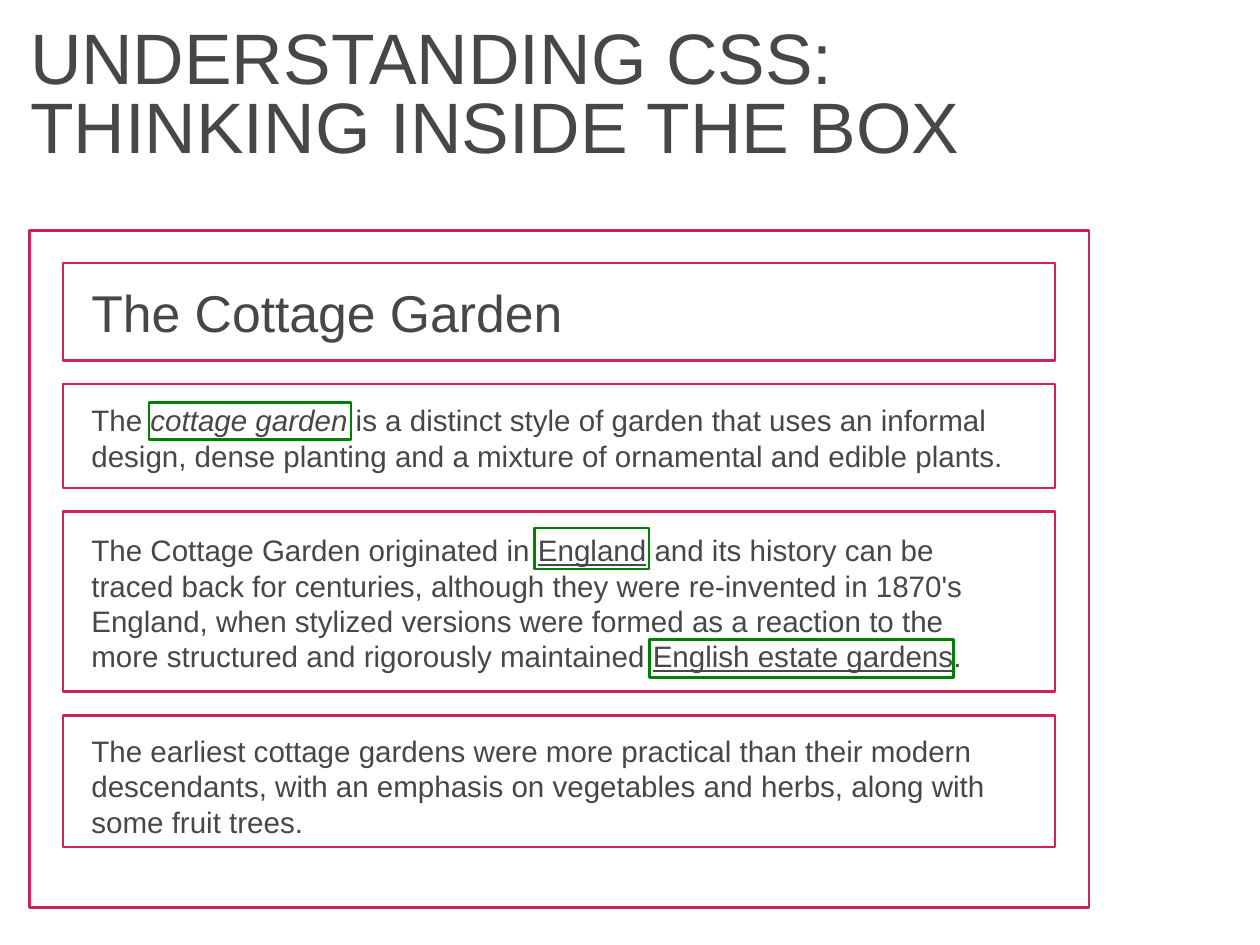
import pptx
import pptx.util
import pptx.dml.color
import pptx.enum.shapes
import pptx.enum.text

Cm = pptx.util.Cm
Pt = pptx.util.Pt
GRAY = pptx.dml.color.RGBColor(0x46, 0x47, 0x49)
PINK = pptx.dml.color.RGBColor(0xD1, 0x20, 0x60)
GREEN = pptx.dml.color.RGBColor(0x00, 0x80, 0x00)

TITLE = "UNDERSTANDING CSS:\vTHINKING INSIDE THE BOX"
TEXT = [
    [("The Cottage Garden", "")],
    [
        ("The ", ""),
        ("cottage garden", "em"),
        (" is a distinct style of garden that uses an informal design, dense "
         "planting and a mixture of ornamental and edible plants.", ""),
    ],
    [
        ("The Cottage Garden originated in ", ""),
        ("England", "link"),
        (" and its history can be traced back for centuries, although they were "
         "re-invented in 1870's England, when stylized versions were formed as a "
         "reaction to the more structured and rigorously maintained ", ""),
        ("English estate gardens", "link"),
        (".", ""),
    ],
    [("The earliest cottage gardens were more practical than their modern "
      "descendants, with an emphasis on vegetables and herbs, along with some "
      "fruit trees.", "")],
]
BLOCKS = [2.79, 2.97, 5.16, 3.78]
SPANS = [
    (3.43, 4.93, 5.79, 1.07),
    (14.48, 8.53, 3.28, 1.17),
    (17.78, 11.73, 8.71, 1.09),
]


def set_frame(frame):
    """Give a text frame its margins, wrapping and anchor."""
    frame.word_wrap = True
    frame.auto_size = pptx.enum.text.MSO_AUTO_SIZE.NONE
    frame.vertical_anchor = pptx.enum.text.MSO_ANCHOR.TOP
    frame.margin_left = frame.margin_right = Cm(0.15)
    frame.margin_top = frame.margin_bottom = Cm(0.15)


def set_para(para, size, pitch):
    """Format a paragraph with its font size and line pitch."""
    para.alignment = pptx.enum.text.PP_ALIGN.LEFT
    para.line_spacing = pitch
    para.font.name = "Arial"
    para.font.size = Pt(size)
    para.font.color.rgb = GRAY


def add_title(slide, left, top, width, height):
    """Place and format the slide title."""
    title = slide.shapes.title
    title.left, title.top = Cm(left), Cm(top)
    title.width, title.height = Cm(width), Cm(height)
    set_frame(title.text_frame)
    title.text_frame.text = TITLE
    set_para(title.text_frame.paragraphs[0], 58, 0.8)


def add_text(slide, left, top, width, height):
    """Write the garden article."""
    box = slide.shapes.add_textbox(Cm(left), Cm(top), Cm(width), Cm(height))
    frame = box.text_frame
    set_frame(frame)
    for index, parts in enumerate(TEXT):
        para = frame.add_paragraph() if index else frame.paragraphs[0]
        set_para(para, 24 if index else 42, 1.0)
        if index:
            para.space_before = Pt(48)
        for words, style in parts:
            run = para.add_run()
            run.text = words
            if style == "em":
                run.font.italic = True
            elif style == "link":
                run.font.underline = True


def add_rect(slide, left, top, width, height, color):
    """Draw one outlined box."""
    rect = slide.shapes.add_shape(
        pptx.enum.shapes.MSO_SHAPE.RECTANGLE,
        Cm(left), Cm(top), Cm(width), Cm(height))
    rect.shadow.inherit = False
    rect.fill.background()
    rect.line.color.rgb = color
    rect.line.width = Pt(2)


def add_page(slide, left, top, width, height):
    """Draw the article with its block and inline boxes."""
    add_text(slide, left + 1.63, top + 1.3, 26.49, 16.41)
    add_rect(slide, left, top, width, height, PINK)
    inset, gap = 0.97, 0.68
    down = top + 0.94
    for tall in BLOCKS:
        add_rect(slide, left + inset, down, width - 2 * inset, tall, PINK)
        down += tall + gap
    for across, below, wide, tall in SPANS:
        add_rect(slide, left + across, top + below, wide, tall, GREEN)


def main():
    """Build and save the slide."""
    deck = pptx.Presentation()
    deck.slide_width, deck.slide_height = Cm(36.12), Cm(27.08)
    slide = deck.slides.add_slide(deck.slide_layouts[5])
    add_title(slide, 0.71, 0.71, 34.57, 6.78)
    add_page(slide, 0.84, 6.6, 30.38, 19.41)
    deck.save("out.pptx")


if __name__ == "__main__":
    main()
